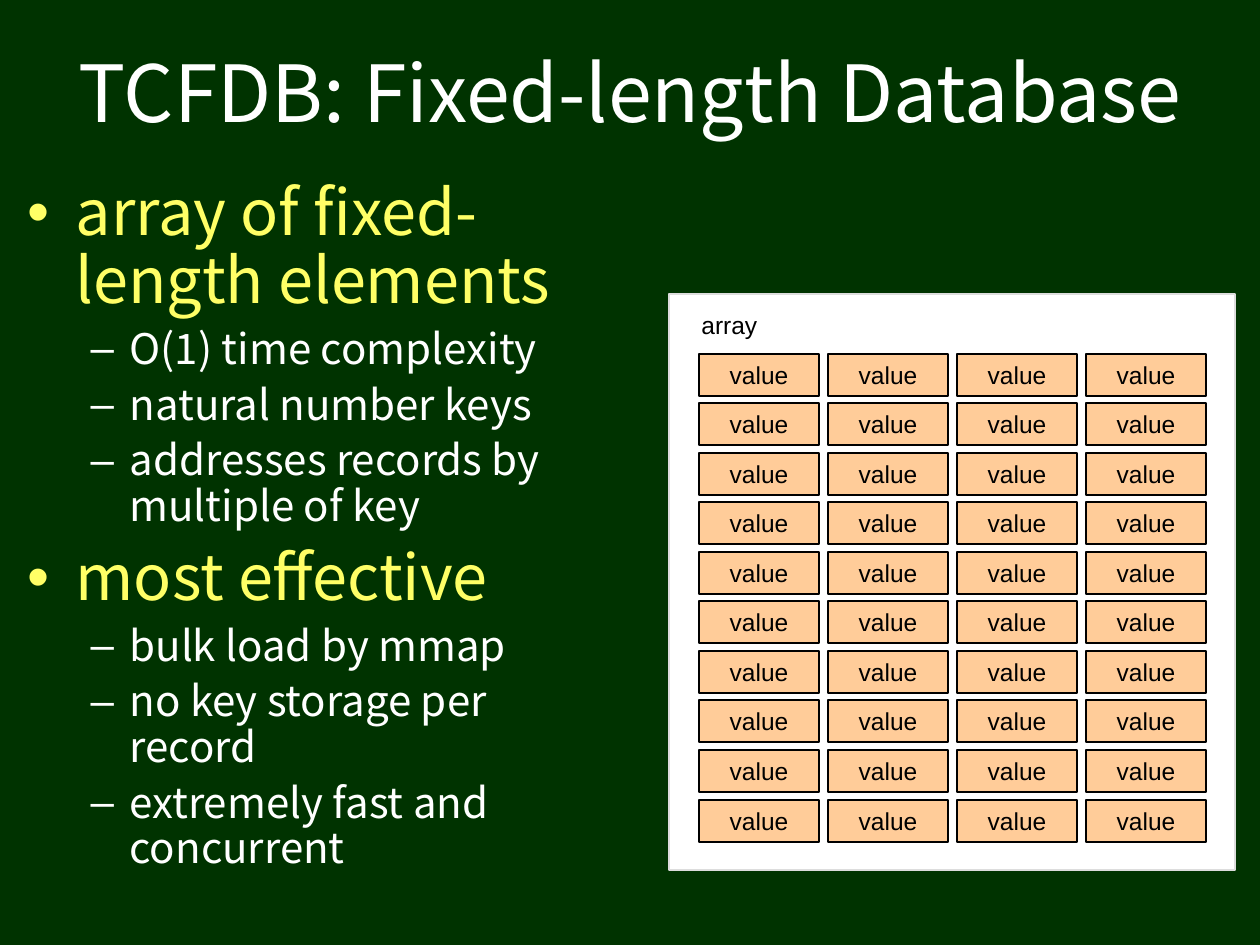
from itertools import product
from lxml.etree import SubElement
from pptx import Presentation
from pptx.dml.color import RGBColor
from pptx.enum.shapes import MSO_SHAPE
from pptx.enum.text import MSO_ANCHOR, MSO_AUTO_SIZE, PP_ALIGN
from pptx.oxml.ns import qn
from pptx.util import Pt

SCALE = 914400 / 126
SANS = "Noto Sans CJK JP"
COLORS = {
    "back": "003300",
    "white": "FFFFFF",
    "yellow": "FFFF66",
    "edge": "DDDDDD",
    "cell": "FFCC99",
    "black": "000000",
}
LEVELS = [
    {"mark": "•", "size": 36, "color": "yellow", "left": 48, "hang": 48, "gap": 9},
    {"mark": "–", "size": 24, "color": "white", "left": 102, "hang": 39, "gap": 6},
]
POINTS = [
    (0, "array of fixed-length elements"),
    (1, "O(1) time complexity"),
    (1, "natural number keys"),
    (1, "addresses records by multiple of key"),
    (0, "most effective"),
    (1, "bulk load by mmap"),
    (1, "no key storage per record"),
    (1, "extremely fast and concurrent"),
]


def px(value):
    return round(value * SCALE)


def color(name):
    return RGBColor.from_string(COLORS[name])


def place(shape, left, top, width, height):
    shape.left, shape.top = px(left), px(top)
    shape.width, shape.height = px(width), px(height)


def style(para, size, tint, face):
    for run in para.runs:
        run.font.size = Pt(size)
        run.font.name = face
        run.font.color.rgb = color(tint)


def add_mark(para, level):
    props = para._p.get_or_add_pPr()
    props.set("marL", str(px(level["left"])))
    props.set("indent", str(-px(level["hang"])))
    tint = SubElement(props, qn("a:buClr"))
    SubElement(tint, qn("a:srgbClr"), val=COLORS[level["color"]])
    SubElement(props, qn("a:buChar"), char=level["mark"])


def set_title(slide, text):
    title = slide.shapes.title
    place(title, 15, 16, 1230, 149)
    frame = title.text_frame
    frame.text = text
    frame.auto_size = MSO_AUTO_SIZE.NONE
    frame.vertical_anchor = MSO_ANCHOR.MIDDLE
    para = frame.paragraphs[0]
    para.alignment = PP_ALIGN.CENTER
    style(para, 45, "white", SANS)


def set_list(slide, points):
    body = slide.placeholders[1]
    place(body, 15, 175, 605, 755)
    frame = body.text_frame
    frame.text = "\n".join(text for _, text in points)
    frame.auto_size = MSO_AUTO_SIZE.NONE
    for para, (depth, _) in zip(frame.paragraphs, points):
        level = LEVELS[depth]
        para.level = depth
        para.line_spacing = 0.9
        para.space_before = Pt(level["gap"])
        add_mark(para, level)
        style(para, level["size"], level["color"], SANS)


def add_box(slide, left, top, width, height, fill, line, weight):
    box = slide.shapes.add_shape(
        MSO_SHAPE.RECTANGLE, px(left), px(top), px(width), px(height))
    box.shadow.inherit = False
    box.fill.solid()
    box.fill.fore_color.rgb = color(fill)
    box.line.color.rgb = color(line)
    box.line.width = Pt(weight)
    return box


def add_cell(slide, left, top):
    cell = add_box(slide, left, top, 120, 42, "cell", "black", 0.75)
    frame = cell.text_frame
    frame.text = "value"
    frame.word_wrap = False
    frame.vertical_anchor = MSO_ANCHOR.MIDDLE
    para = frame.paragraphs[0]
    para.alignment = PP_ALIGN.CENTER
    style(para, 14, "black", "Arial")


def add_label(slide, text):
    label = slide.shapes.add_textbox(px(689), px(304), px(81), px(43))
    frame = label.text_frame
    frame.text = text
    frame.word_wrap = False
    frame.auto_size = MSO_AUTO_SIZE.SHAPE_TO_FIT_TEXT
    style(frame.paragraphs[0], 14, "black", "Arial")


def add_array(slide):
    add_box(slide, 669, 294, 566, 576, "white", "edge", 1)
    for row, col in product(range(10), range(4)):
        add_cell(slide, 699 + 129 * col, 354 + 446 * row // 9)
    add_label(slide, "array")


def main():
    deck = Presentation()
    deck.slide_width, deck.slide_height = px(1260), px(945)
    slide = deck.slides.add_slide(deck.slide_layouts[1])
    slide.background.fill.solid()
    slide.background.fill.fore_color.rgb = color("back")
    set_title(slide, "TCFDB: Fixed-length Database")
    set_list(slide, POINTS)
    add_array(slide)
    deck.save("out.pptx")


if __name__ == "__main__":
    main()
